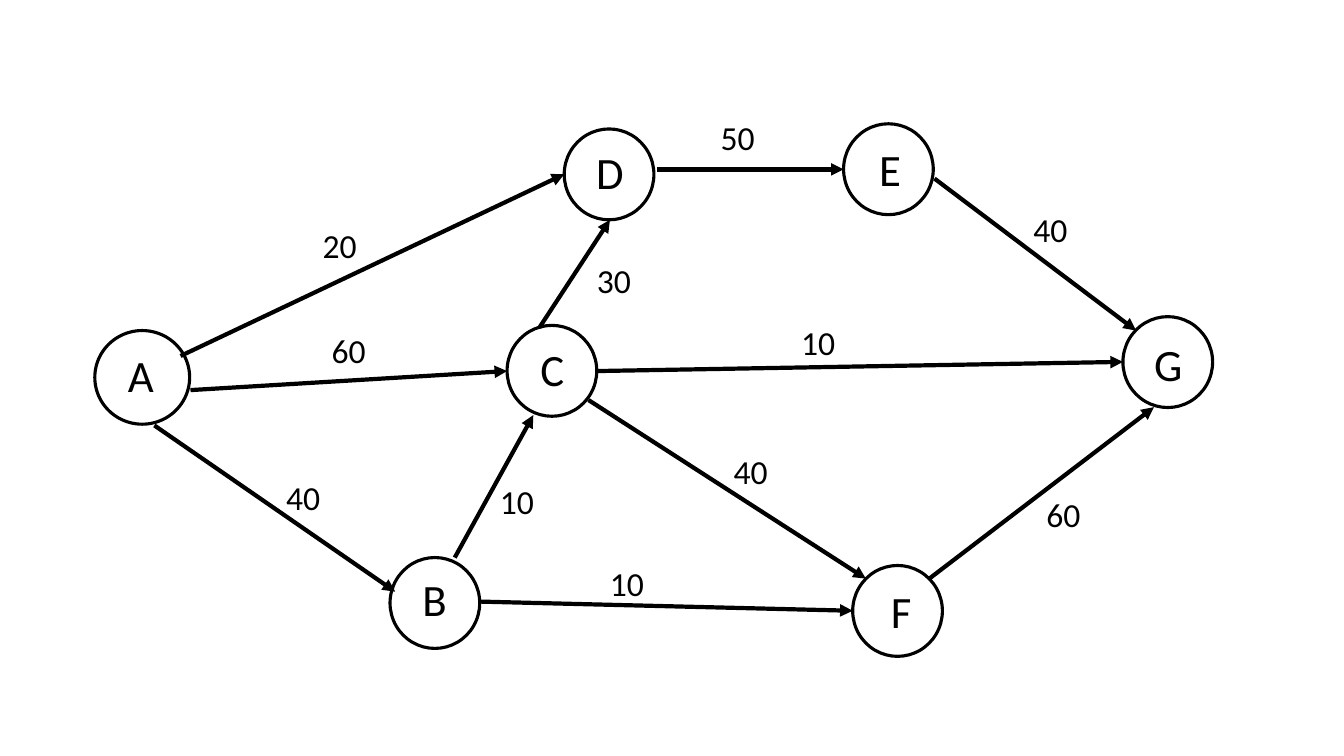
"""Draw a weighted directed graph with nodes A to G on one slide."""
from lxml import etree
from pptx import Presentation
from pptx.dml.color import RGBColor
from pptx.enum.shapes import MSO_CONNECTOR, MSO_SHAPE
from pptx.enum.text import MSO_AUTO_SIZE, PP_ALIGN
from pptx.oxml.ns import qn
from pptx.util import Cm, Pt

CIRCLE = MSO_SHAPE.FLOWCHART_CONNECTOR
STRAIGHT = MSO_CONNECTOR.STRAIGHT
CENTER = PP_ALIGN.CENTER
GROW = MSO_AUTO_SIZE.SHAPE_TO_FIT_TEXT

SLIDE = (33.87, 19.05)
NODE = (2.26, 2.29)
START_NODE = (2.39, 2.36)
NAME_BOX = (1.42, 1.63)
WEIGHT_BOX = (1.42, 1.27)

# name, circle corner, circle size, name corner
NODES = [
    ("A", (2.39, 8.33), START_NODE, (2.84, 8.64)),
    ("B", (9.83, 14.05), NODE, (10.24, 14.27)),
    ("C", (12.78, 8.2), NODE, (13.21, 8.48)),
    ("D", (14.22, 3.25), NODE, (14.66, 3.53)),
    ("E", (21.26, 3.12), NODE, (21.72, 3.45)),
    ("F", (21.49, 14.25), NODE, (22, 14.58)),
    ("G", (28.3, 7.98), NODE, (28.73, 8.36)),
]

# weight, start, end, weight corner
EDGES = [
    ("20", (4.55, 8.97), (14.22, 4.39), (7.85, 5.54)),
    ("60", (4.8, 9.83), (12.78, 9.35), (8.08, 8.18)),
    ("40", (3.89, 10.72), (9.96, 14.91), (6.93, 11.89)),
    ("10", (11.46, 14.05), (13.44, 10.46), (12.32, 11.99)),
    ("10", (12.12, 15.16), (21.49, 15.39), (15.09, 14.05)),
    ("30", (13.59, 8.26), (15.37, 5.54), (14.76, 6.43)),
    ("40", (14.83, 10.08), (21.82, 14.58), (18.21, 11.25)),
    ("10", (15.04, 9.35), (28.3, 9.12), (19.91, 7.98)),
    ("50", (16.56, 4.27), (21.26, 4.27), (17.88, 2.82)),
    ("40", (23.55, 4.5), (28.63, 8.33), (25.76, 5.13)),
    ("60", (23.42, 14.58), (29.08, 10.26), (26.09, 12.32)),
]

THEME = {
    "font": "Calibri",
    "ink": RGBColor(0, 0, 0),
    "paper": RGBColor(255, 255, 255),
    "name": Pt(32),
    "weight": Pt(24),
    "outline": Pt(2.25),
    "arrow": Pt(3),
}


def cm(*values):
    """Turn numbers into centimetre lengths."""
    return [Cm(v) for v in values]


def add_circle(s, corner, size):
    """Draw one node."""
    sp = s.shapes.add_shape(CIRCLE, *cm(*corner, *size))
    sp.shadow.inherit = False
    sp.fill.solid()
    sp.fill.fore_color.rgb = THEME["paper"]
    sp.line.color.rgb = THEME["ink"]
    sp.line.width = THEME["outline"]


def add_arrow(s, start, end):
    """Draw one directed edge."""
    sp = s.shapes.add_connector(STRAIGHT, *cm(*start, *end))
    sp.line.color.rgb = THEME["ink"]
    sp.line.width = THEME["arrow"]
    etree.SubElement(sp.line._get_or_add_ln(), qn("a:tailEnd"), type="triangle")
    etree.SubElement(sp._element.spPr, qn("a:effectLst"))


def add_label(s, text, corner, box, size):
    """Write one centred label."""
    tf = s.shapes.add_textbox(*cm(*corner, *box)).text_frame
    tf.word_wrap = True
    tf.auto_size = GROW
    p = tf.paragraphs[0]
    p.alignment = CENTER
    r = p.add_run()
    r.text = text
    r.font.name = THEME["font"]
    r.font.size = size
    r.font.color.rgb = THEME["ink"]


def main():
    """Build and save the slide."""
    prs = Presentation()
    prs.slide_width, prs.slide_height = cm(*SLIDE)
    s = prs.slides.add_slide(prs.slide_layouts[6])
    for name, corner, size, name_corner in NODES:
        add_circle(s, corner, size)
        add_label(s, name, name_corner, NAME_BOX, THEME["name"])
    for weight, start, end, weight_corner in EDGES:
        add_arrow(s, start, end)
        add_label(s, weight, weight_corner, WEIGHT_BOX, THEME["weight"])
    prs.save("out.pptx")


if __name__ == "__main__":
    main()
